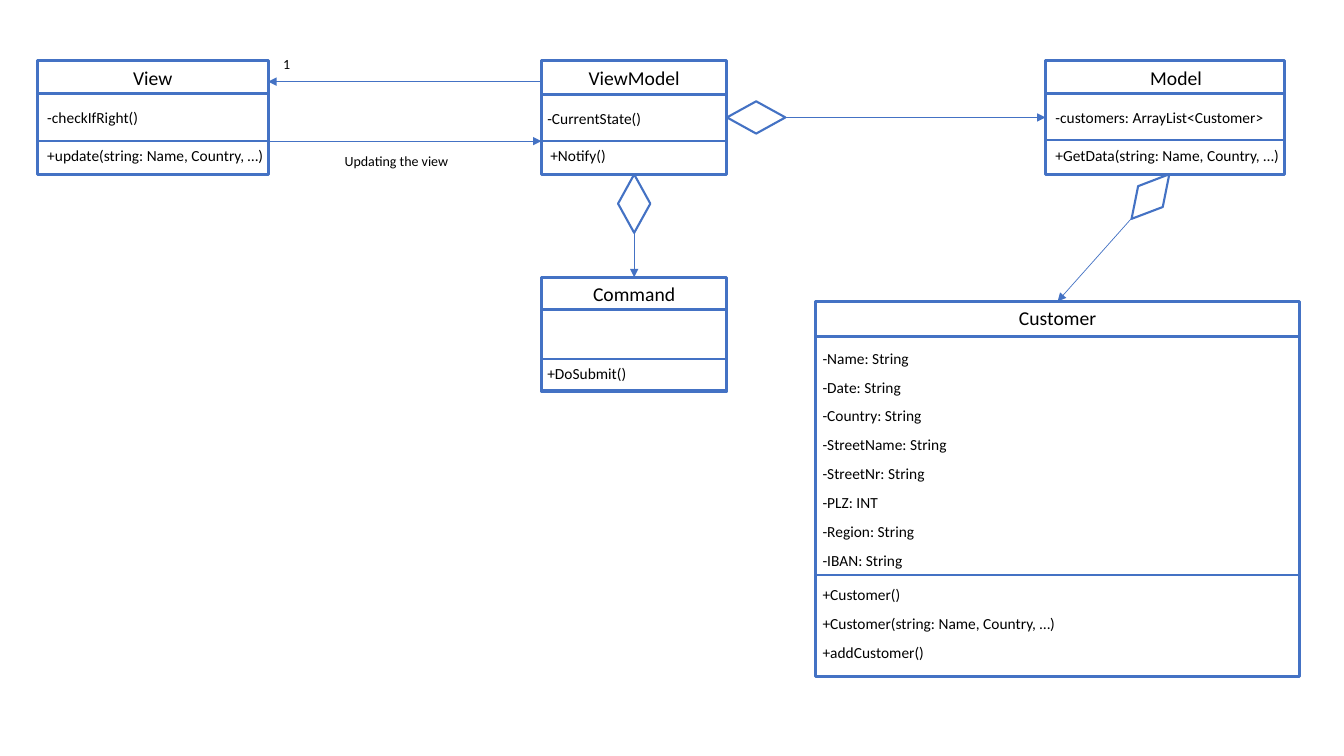
from lxml import etree
from pptx import Presentation
from pptx import util as u
from pptx.dml.color import RGBColor
from pptx.enum import shapes, text
from pptx.oxml import ns

COLORS = {"outline": "4472C4", "ink": "000000"}
FONT = "Calibri"
TITLE_WIDTH = 18.4
MEMBER_PITCH = 2.87
TEXT_ROWS = {10: 2.7, 11: 2.9, 14: 3.4}  # box height for each font size


def grid(cells):
    """Turn grid cells, ten to the inch both ways, into a length."""
    return u.Inches(cells / 10)


def style_line(line, points):
    line.color.rgb = RGBColor.from_string(COLORS["outline"])
    line.width = u.Pt(points)


def add_outline(slide, preset, left, top, width, height, points):
    outline = slide.shapes.add_shape(preset, *map(grid, (left, top, width, height)))
    outline.shadow.inherit = False
    outline.fill.background()
    style_line(outline.line, points)
    return outline


def add_diamond(slide, center_x, center_y, rotation=0):
    width, height = 5.8, 3.2
    diamond = add_outline(slide, shapes.MSO_SHAPE.FLOWCHART_DECISION,
                          center_x - width / 2, center_y - height / 2, width, height, 1.5)
    diamond.rotation = rotation
    return diamond


def add_rule(slide, start, end, points):
    rule = slide.shapes.add_connector(shapes.MSO_CONNECTOR.STRAIGHT, *map(grid, (*start, *end)))
    style_line(rule.line, points)
    etree.SubElement(rule._element.spPr, ns.qn("a:effectLst"))
    return rule


def add_arrow(slide, start, end):
    arrow = add_rule(slide, start, end, 0.5)
    etree.SubElement(arrow.line._get_or_add_ln(), ns.qn("a:tailEnd"), type="triangle")
    return arrow


def add_label(slide, wording, left, top, width, size=11, align=text.PP_ALIGN.LEFT):
    label = slide.shapes.add_textbox(*map(grid, (left, top, width, TEXT_ROWS[size])))
    frame = label.text_frame
    frame.word_wrap = True
    frame.auto_size = text.MSO_AUTO_SIZE.SHAPE_TO_FIT_TEXT
    paragraph = frame.paragraphs[0]
    paragraph.alignment = align
    run = paragraph.add_run()
    run.text = wording
    run.font.name = FONT
    run.font.size = u.Pt(size)
    run.font.color.rgb = RGBColor.from_string(COLORS["ink"])


def add_class(slide, title, bounds, header, divider, fields, methods,
              indents=(0, 0), gaps=(0.9, 0.1), title_shift=0):
    """Draw a class box; header and divider are rows below its top."""
    left, top, width, height = bounds
    box = add_outline(slide, shapes.MSO_SHAPE.RECTANGLE, *bounds, 2.25)
    add_label(slide, title, left + (width - TITLE_WIDTH) / 2 + title_shift, top,
              TITLE_WIDTH, 14, text.PP_ALIGN.CENTER)
    compartments = zip((header, divider), (2.25, 1.5), (fields, methods), indents, gaps)
    for offset, points, members, indent, gap in compartments:
        y = top + offset
        add_rule(slide, (left, y), (left + width, y), points)
        for index, member in enumerate(members):
            add_label(slide, member, left + indent, y + gap + index * MEMBER_PITCH, width + 2)
    return box


def main():
    deck = Presentation()
    deck.slide_width, deck.slide_height = u.Inches(13.33), u.Inches(7.5)
    slide = deck.slides.add_slide(deck.slide_layouts[6])

    # Classes
    add_class(slide, "View", (3.7, 6, 22.9, 11.3), 3.3, 7.95,
              ["-checkIfRight()"], ["+update(string: Name, Country, …)"])
    view_model = add_class(slide, "ViewModel", (53.7, 6, 18.4, 11.3), 3.4, 8,
                           ["-CurrentState()"], ["+Notify()"],
                           indents=(-0.4, -0.1), gaps=(0.9, 0))
    model = add_class(slide, "Model", (103.7, 6, 23.7, 11.3), 3.3, 7.9,
                      ["-customers: ArrayList<Customer>"],
                      ["+GetData(string: Name, Country, …)"], title_shift=1.1)
    command = add_class(slide, "Command", (53.7, 27.5, 18.4, 11.3), 3.2, 8.1,
                        [], ["+DoSubmit()"], indents=(0, -0.4), gaps=(0, 0))
    customer = add_class(slide, "Customer", (80.9, 29.9, 48, 37.2), 3.5, 27.1,
                         ["-Name: String", "-Date: String", "-Country: String",
                          "-StreetName: String", "-StreetNr: String", "-PLZ: INT",
                          "-Region: String", "-IBAN: String"],
                         ["+Customer()", "+Customer(string: Name, Country, …)",
                          "+addCustomer()"],
                         indents=(-0.3, -0.3), gaps=(0.7, 0.6))

    # View and ViewModel exchange
    add_arrow(slide, (53.7, 8.1), (26.6, 8.1))
    add_arrow(slide, (26.6, 14), (53.7, 14))
    add_label(slide, "1", 27.1, 5, 3.4, 10)
    add_label(slide, "Updating the view", 33.2, 14.6, 18.4, 10)

    # ViewModel holds Model
    model_diamond = add_diamond(slide, 75, 11.65)
    model_arrow = add_arrow(slide, (77.9, 11.65), (103.7, 11.65))
    model_arrow.begin_connect(model_diamond, 3)
    model_arrow.end_connect(model, 1)

    # ViewModel holds Command
    command_x = (view_model.left + view_model.width / 2) / grid(1)
    add_diamond(slide, command_x, 20.2, 270)
    add_arrow(slide, (command_x, 23.1), (command_x, 27.5)).end_connect(command, 0)

    # Model holds Customer
    add_diamond(slide, 114.1, 19.5, 310.2)
    add_arrow(slide, (112.2, 21.7), (104.9, 29.9)).end_connect(customer, 0)

    deck.save("out.pptx")


if __name__ == "__main__":
    main()
